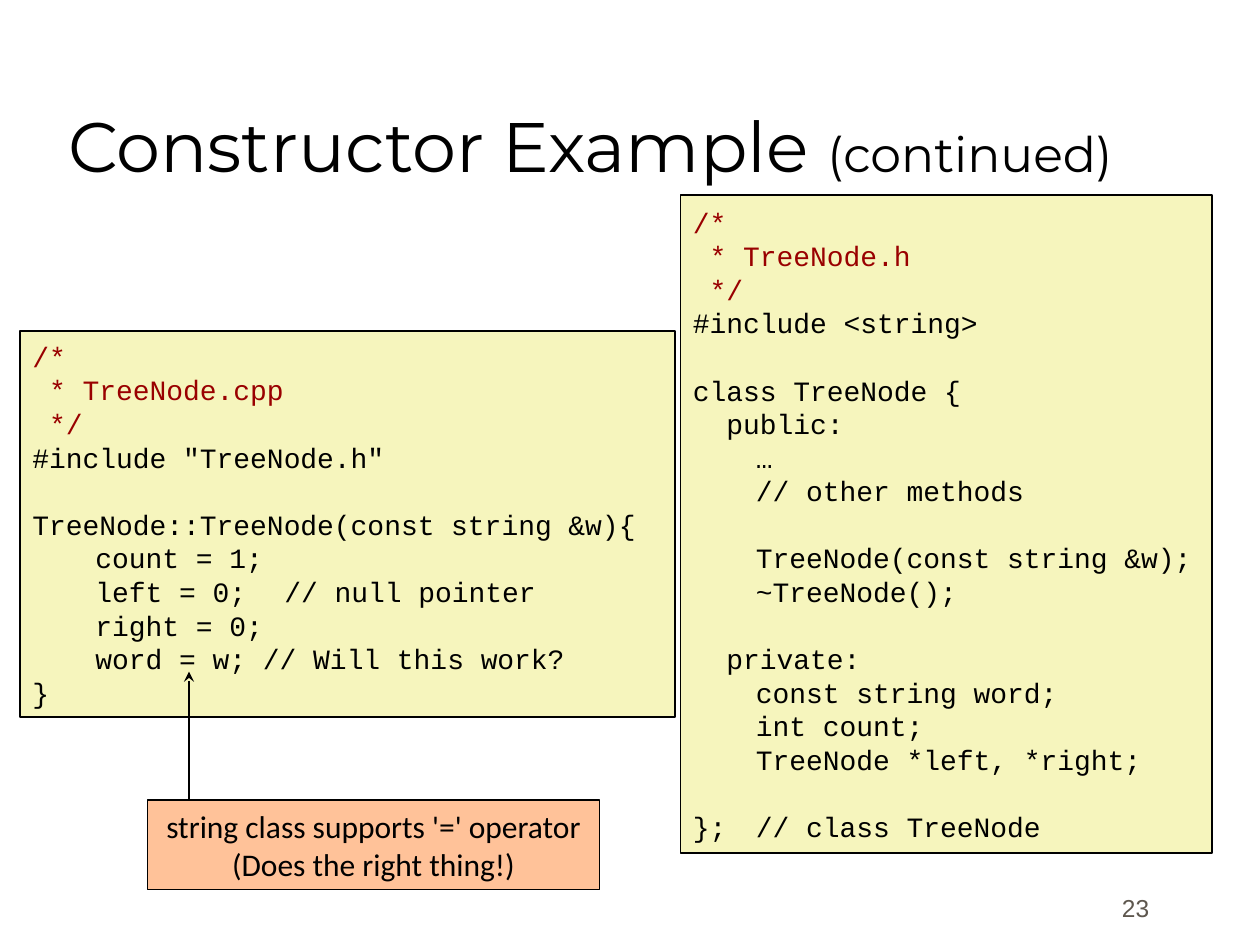
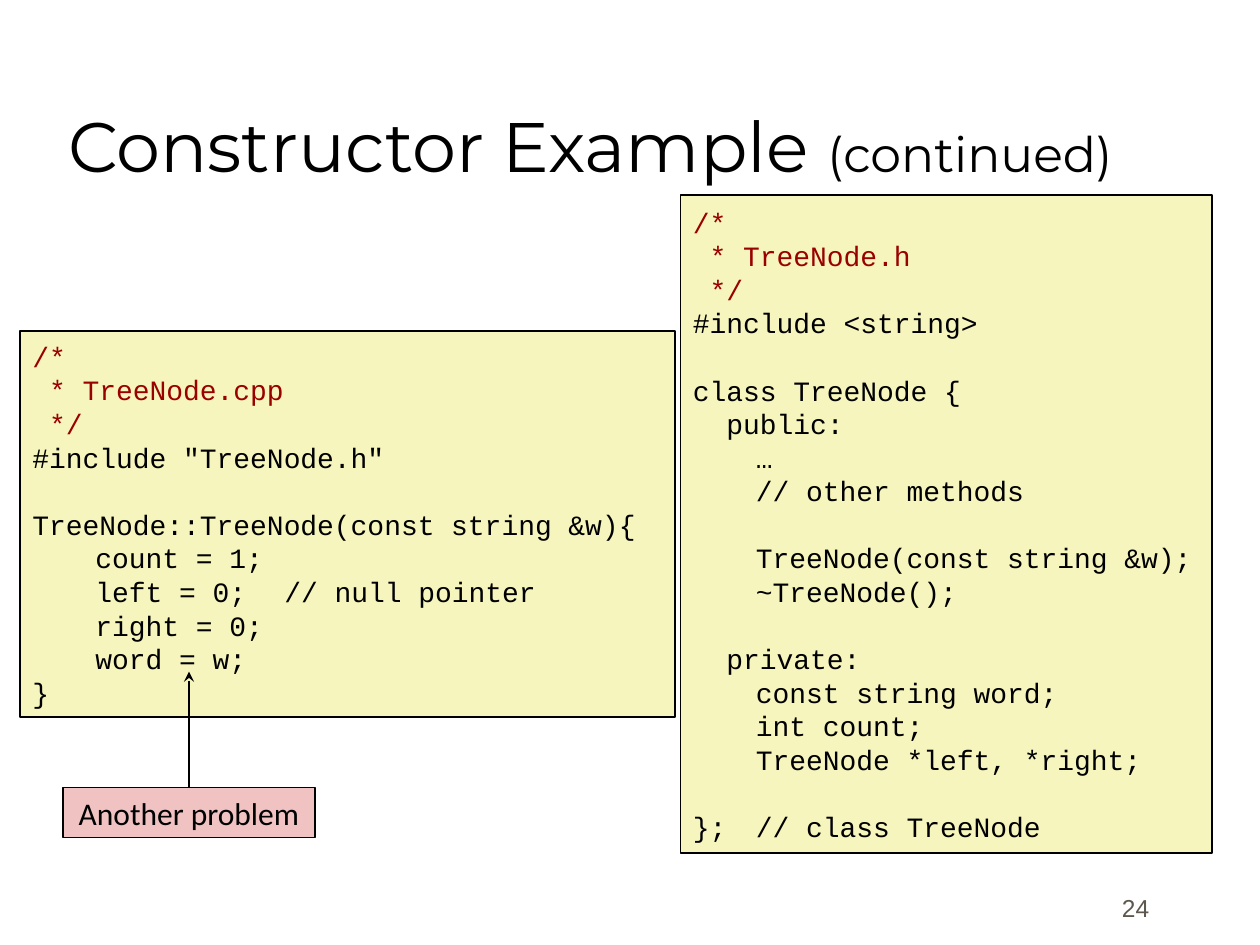
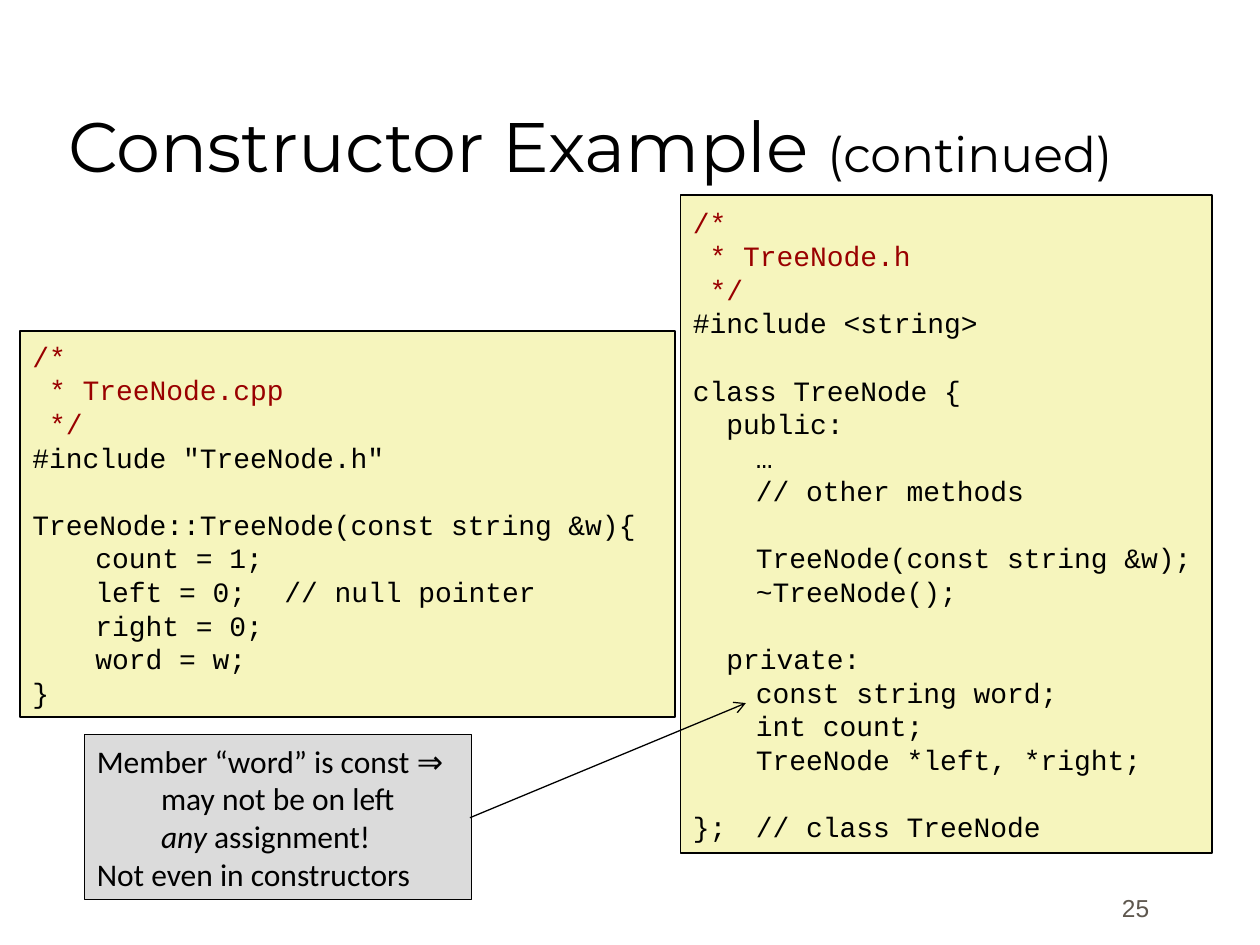
from pptx import Presentation
from pptx.dml.color import RGBColor
from pptx.enum.shapes import MSO_CONNECTOR, MSO_SHAPE
from pptx.enum.text import MSO_ANCHOR, MSO_AUTO_SIZE, PP_ALIGN
from pptx.oxml.ns import qn
from pptx.util import Pt
from lxml.etree import SubElement

PX = 9144

COLORS = {
    "ink": "000000",
    "comment": "990000",
    "number": "5E574E",
    "code": "F6F5BD",
    "orange": "FFC299",
    "pink": "F0C2C2",
    "grey": "DBDBDB",
}

FORMATS = {
    "title": {"name": "Montserrat", "size": Pt(40)},
    "subtitle": {"name": "Montserrat", "size": Pt(28)},
    "code": {"name": "Courier New", "size": Pt(16)},
    "note": {"name": "Calibri", "size": Pt(18)},
    "emphasis": {"name": "Calibri", "size": Pt(18), "italic": True},
    "number": {"name": "Arial", "size": Pt(14)},
}

CODE_PITCH = Pt(19.2)
TAB_STOPS = [50, 100, 150, 200]

SOURCE_CODE = """/*
 * TreeNode.cpp
 */
#include "TreeNode.h"

TreeNode::TreeNode(const string &w){
\tcount = 1;
\tleft = 0;\t// null pointer
\tright = 0;
\tword = w;{remark}
}"""

HEADER_CODE = """/*
 * TreeNode.h
 */
#include <string>

class TreeNode {
  public:
\t…
\t// other methods

\tTreeNode(const string &w);
\t~TreeNode();

  private:
\tconst string word;
\tint count;
\tTreeNode *left, *right;

};\t// class TreeNode"""

SLIDES = [
    {
        "number": "23",
        "remark": " // Will this work?",
        "note_place": (117, 635, 359, 71),
        "note_fill": "orange",
        "note_align": PP_ALIGN.CENTER,
        "note_lines": [
            (0, [("string class supports '=' operator", "note")]),
            (0, [("(Does the right thing!)", "note")]),
        ],
        "arrow": (150, 635, 150, 533),
        "arrow_head": "stealth",
        "arrow_width": 1,
    },
    {
        "number": "24",
        "remark": "",
        "note_place": (50, 625, 200, 40),
        "note_fill": "pink",
        "note_align": PP_ALIGN.CENTER,
        "note_lines": [(0, [("Another problem", "note")])],
        "arrow": (150, 625, 150, 533),
        "arrow_head": "stealth",
        "arrow_width": 1,
    },
    {
        "number": "25",
        "remark": "",
        "note_place": (67, 583, 307, 131),
        "note_fill": "grey",
        "note_align": PP_ALIGN.LEFT,
        "note_lines": [
            (0, [("Member “word” is const ⇒", "note")]),
            (51, [("may not be on left", "note")]),
            (51, [("any", "emphasis"), (" assignment!", "note")]),
            (0, [("Not even in constructors", "note")]),
        ],
        "arrow": (373, 649, 592, 558),
        "arrow_head": "arrow",
        "arrow_width": 0.75,
    },
]


def add_run(paragraph, text, style, color="ink"):
    run = paragraph.add_run()
    run.text = text
    for attribute, value in FORMATS[style].items():
        setattr(run.font, attribute, value)
    run.font.color.rgb = RGBColor.from_string(COLORS[color])


def add_panel(slide, place, fill, line_width):
    panel = slide.shapes.add_shape(MSO_SHAPE.RECTANGLE, *[v * PX for v in place])
    panel.shadow.inherit = False
    panel.fill.solid()
    panel.fill.fore_color.rgb = RGBColor.from_string(COLORS[fill])
    panel.line.color.rgb = RGBColor.from_string(COLORS["ink"])
    panel.line.width = Pt(line_width)
    panel.text_frame.word_wrap = True
    panel.text_frame.vertical_anchor = MSO_ANCHOR.MIDDLE
    return panel.text_frame


prs = Presentation()
prs.slide_width, prs.slide_height = 1000 * PX, 750 * PX

for content in SLIDES:
    slide = prs.slides.add_slide(prs.slide_layouts[5])

    title = slide.shapes.title
    title.left, title.top, title.width, title.height = [v * PX for v in (44, 25, 850, 125)]
    title.text_frame.auto_size = MSO_AUTO_SIZE.NONE
    title.text_frame.vertical_anchor = MSO_ANCHOR.BOTTOM
    title.text_frame.margin_bottom = 2 * PX
    heading = title.text_frame.paragraphs[0]
    heading.alignment = PP_ALIGN.LEFT
    add_run(heading, "Constructor Example ", "title")
    add_run(heading, "(continued)", "subtitle")

    listings = [
        ((16, 263, 520, 306), SOURCE_CODE.replace("{remark}", content["remark"])),
        ((540, 155, 422, 522), HEADER_CODE),
    ]
    for place, code in listings:
        frame = add_panel(slide, place, "code", 1)
        gap = 0
        for index, code_line in enumerate(code.split("\n")):
            if not code_line:
                gap = CODE_PITCH
                continue
            paragraph = frame.add_paragraph() if index else frame.paragraphs[0]
            tabs = SubElement(paragraph._p.get_or_add_pPr(), qn("a:tabLst"))
            for stop in TAB_STOPS:
                SubElement(tabs, qn("a:tab"), pos=str(stop * PX), algn="l")
            paragraph.alignment = PP_ALIGN.LEFT
            paragraph.line_spacing = CODE_PITCH
            if gap:
                paragraph.space_before = gap
            add_run(paragraph, code_line, "code", "comment" if index < 3 else "ink")
            gap = 0

    frame = add_panel(slide, content["note_place"], content["note_fill"], 0.75)
    for index, (indent, pieces) in enumerate(content["note_lines"]):
        paragraph = frame.add_paragraph() if index else frame.paragraphs[0]
        paragraph.alignment = content["note_align"]
        if indent:
            paragraph._p.get_or_add_pPr().set("marL", str(indent * PX))
        for text, style in pieces:
            add_run(paragraph, text, style)

    arrow = slide.shapes.add_connector(
        MSO_CONNECTOR.STRAIGHT, *[v * PX for v in content["arrow"]])
    arrow.line.color.rgb = RGBColor.from_string(COLORS["ink"])
    arrow.line.width = Pt(content["arrow_width"])
    arrow_properties = arrow._element.spPr
    SubElement(arrow_properties.find(qn("a:ln")), qn("a:tailEnd"),
               type=content["arrow_head"], w="med", len="med")
    SubElement(arrow_properties, qn("a:effectLst"))

    page_number = slide.shapes.add_textbox(*[v * PX for v in (722, 681, 200, 56)])
    page_number.text_frame.word_wrap = True
    page_number.text_frame.vertical_anchor = MSO_ANCHOR.BOTTOM
    page_number.text_frame.paragraphs[0].alignment = PP_ALIGN.RIGHT
    add_run(page_number.text_frame.paragraphs[0], content["number"], "number", "number")

prs.save("out.pptx")
